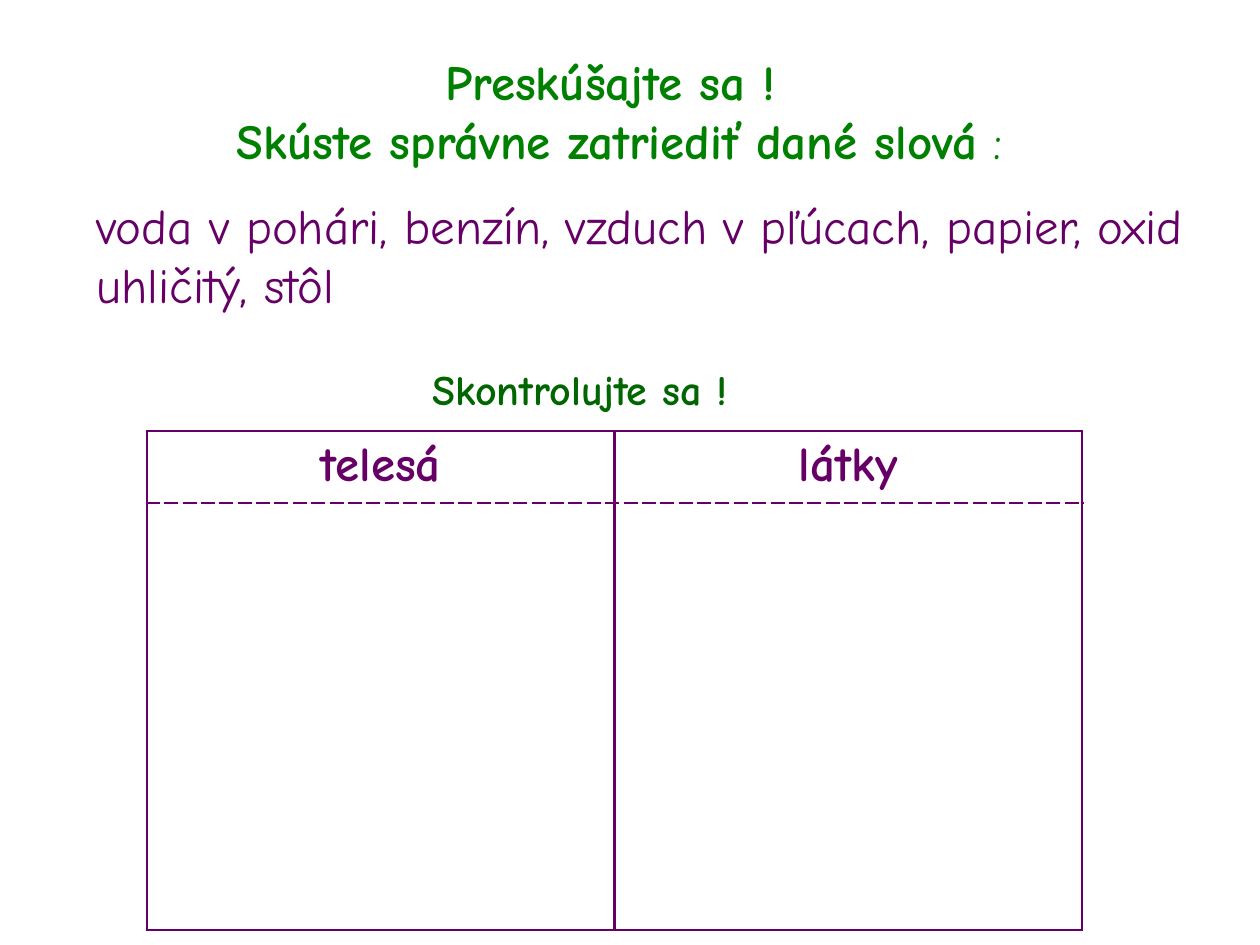
"""Builds a sorting exercise slide with a word list and an empty two-column table."""
from dataclasses import dataclass

from lxml.etree import SubElement
from pptx import Presentation
from pptx.dml.color import RGBColor as RGB
from pptx.enum.text import MSO_ANCHOR as Anchor, MSO_AUTO_SIZE as AutoSize, PP_ALIGN as Align
from pptx.oxml.ns import qn
from pptx.util import Emu, Pt

PX = 914400 / 126


@dataclass(frozen=True)
class Theme:
    font: str = "Comic Neue"
    heading: str = "008000"
    check: str = "006600"
    words: str = "660066"
    large: int = 28
    medium: int = 24
    border: float = 1.5


theme = Theme()


def px(*lengths):
    return [Emu(round(length * PX)) for length in lengths]


def add_run(paragraph, text, size, color, bold=False):
    run = paragraph.add_run()
    run.text = text
    run.font.name = theme.font
    run.font.size = Pt(size)
    run.font.bold = bold
    run.font.color.rgb = RGB.from_string(color)


prs = Presentation()
prs.slide_width, prs.slide_height = px(1260, 945)
slide = prs.slides.add_slide(prs.slide_layouts[5])

heading = slide.shapes.title
heading.left, heading.top, heading.width, heading.height = px(84, 32, 1071, 157)
heading.text_frame.auto_size = AutoSize.NONE
heading.text_frame.vertical_anchor = Anchor.MIDDLE
heading_line = heading.text_frame.paragraphs[0]
heading_line.alignment = Align.CENTER
add_run(heading_line, "Preskúšajte sa ! ", theme.large, theme.heading, True)
heading_line.add_line_break()
add_run(heading_line, "Skúste správne zatriediť dané slová", theme.large, theme.heading, True)
add_run(heading_line, " :", theme.large, theme.heading)

captions = [
    ((84, 189, 1113, 131), "voda v pohári, benzín, vzduch v pľúcach, papier, oxid uhličitý, stôl",
     theme.large, theme.words, False),
    ((420, 357, 420, 63), "Skontrolujte sa !", theme.medium, theme.check, True),
]
for place, text, size, color, bold in captions:
    caption = slide.shapes.add_textbox(*px(*place)).text_frame
    caption.word_wrap = True
    add_run(caption.paragraphs[0], text, size, color, bold)

categories = ["telesá", "látky"]
row_heights = px(72, 427)
sorting = slide.shapes.add_table(2, 2, *px(147, 431, 935, 499)).table
sorting.first_row = sorting.horz_banding = False
for row, height in zip(sorting.rows, row_heights):
    row.height = height
for column, category in enumerate(categories):
    header = sorting.cell(0, column).text_frame.paragraphs[0]
    header.alignment = Align.CENTER
    add_run(header, category, theme.large, theme.words, True)

for row_index, dashed_side in enumerate(["lnB", "lnT"]):
    for cell in sorting.rows[row_index].cells:
        properties = cell._tc.get_or_add_tcPr()
        for side in ("lnL", "lnR", "lnT", "lnB"):
            border = SubElement(properties, qn(f"a:{side}"), w=str(Pt(theme.border)))
            fill = SubElement(border, qn("a:solidFill"))
            SubElement(fill, qn("a:srgbClr"), val=theme.words)
            SubElement(border, qn("a:prstDash"), val="dash" if side == dashed_side else "solid")
        cell.fill.background()

prs.save("out.pptx")
